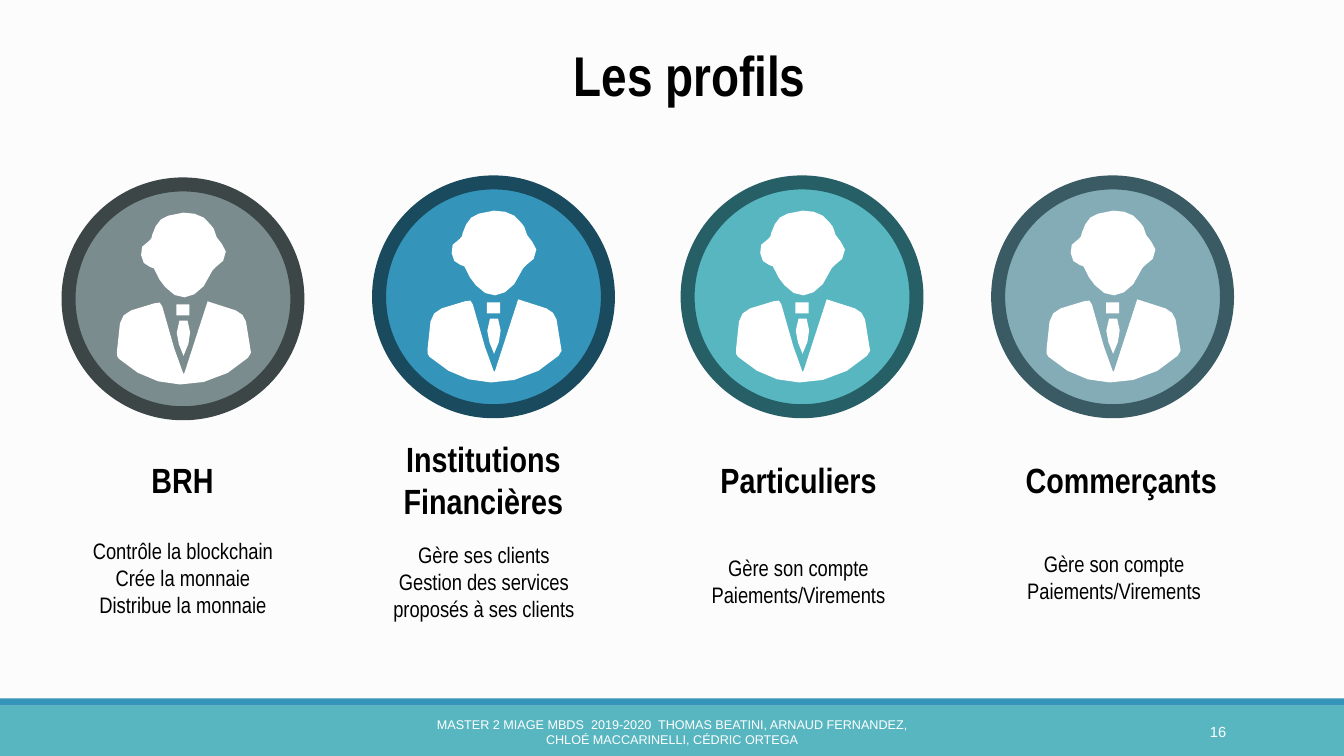
from dataclasses import dataclass
from math import ceil, hypot, sqrt

from pptx import Presentation
from pptx.dml.color import RGBColor
from pptx.enum.shapes import MSO_SHAPE
from pptx.enum.text import MSO_ANCHOR, PP_ALIGN
from pptx.shapes.autoshape import Shape
from pptx.slide import Slide
from pptx.util import Inches, Pt

RECTANGLE, OVAL = MSO_SHAPE.RECTANGLE, MSO_SHAPE.OVAL
TOP, MIDDLE = MSO_ANCHOR.TOP, MSO_ANCHOR.MIDDLE
CENTER, RIGHT = PP_ALIGN.CENTER, PP_ALIGN.RIGHT

PAPER = RGBColor(0xFC, 0xFC, 0xFC)
WHITE = RGBColor(0xFF, 0xFF, 0xFF)
BLACK = RGBColor(0x00, 0x00, 0x00)
GREY = RGBColor(0x7A, 0x8C, 0x8E)
DARK_GREY = RGBColor(0x3D, 0x46, 0x47)
BLUE = RGBColor(0x34, 0x94, 0xBA)
DARK_BLUE = RGBColor(0x1A, 0x4A, 0x5D)
TEAL = RGBColor(0x58, 0xB6, 0xC0)
DARK_TEAL = RGBColor(0x26, 0x60, 0x66)
STEEL = RGBColor(0x84, 0xAC, 0xB6)
DARK_STEEL = RGBColor(0x3A, 0x5B, 0x63)

BODY_FONT, FOOTER_FONT = "Arial Narrow", "Arial"
BADGE_SIZE = 2.27
FLATNESS = 0.01

Point = tuple[float, float]
Box = tuple[float, float, float, float]
Curve = tuple[float, float, float, float, float, float]


@dataclass(frozen=True)
class Outline:
    start: Point
    curves: tuple[Curve, ...]


@dataclass(frozen=True)
class Profile:
    name: str
    tasks: tuple[str, ...]
    fill: RGBColor
    ring: RGBColor
    badge: Point
    name_box: Box
    tasks_box: Box


JACKET = Outline((1.15, 1.87), (
    (1.23, 1.63, 1.31, 1.40, 1.38, 1.16),
    (1.47, 1.19, 1.57, 1.21, 1.66, 1.25),
    (1.71, 1.27, 1.75, 1.31, 1.76, 1.36),
    (1.78, 1.46, 1.80, 1.56, 1.81, 1.67),
    (1.81, 1.69, 1.80, 1.71, 1.78, 1.72),
    (1.65, 1.84, 1.52, 1.92, 1.34, 1.96),
    (1.02, 2.03, 0.74, 1.95, 0.50, 1.73),
    (0.49, 1.72, 0.47, 1.69, 0.48, 1.66),
    (0.48, 1.57, 0.50, 1.48, 0.51, 1.38),
    (0.52, 1.32, 0.56, 1.27, 0.62, 1.25),
    (0.70, 1.22, 0.77, 1.20, 0.85, 1.18),
    (0.91, 1.16, 0.91, 1.17, 0.93, 1.21),
    (0.97, 1.35, 1.01, 1.49, 1.05, 1.63),
    (1.08, 1.69, 1.10, 1.76, 1.14, 1.88),
))
HEAD = Outline((1.14, 0.28), (
    (1.26, 0.28, 1.35, 0.31, 1.41, 0.40),
    (1.42, 0.41, 1.43, 0.43, 1.44, 0.44),
    (1.46, 0.50, 1.47, 0.55, 1.52, 0.59),
    (1.60, 0.64, 1.55, 0.79, 1.46, 0.82),
    (1.45, 0.83, 1.44, 0.84, 1.43, 0.85),
    (1.39, 0.90, 1.37, 0.96, 1.34, 1.01),
    (1.22, 1.15, 1.08, 1.16, 0.96, 1.02),
    (0.92, 0.97, 0.88, 0.92, 0.86, 0.86),
    (0.86, 0.84, 0.84, 0.82, 0.81, 0.82),
    (0.75, 0.81, 0.73, 0.76, 0.72, 0.70),
    (0.71, 0.63, 0.73, 0.60, 0.80, 0.56),
    (0.82, 0.55, 0.83, 0.52, 0.83, 0.50),
    (0.86, 0.41, 0.90, 0.33, 0.99, 0.31),
    (1.04, 0.30, 1.09, 0.29, 1.14, 0.28),
))
TIE = Outline((1.10, 1.35), (
    (1.12, 1.35, 1.15, 1.35, 1.18, 1.35),
    (1.23, 1.47, 1.20, 1.58, 1.14, 1.70),
    (1.09, 1.58, 1.04, 1.48, 1.10, 1.35),
))

ACCOUNT_TASKS = ("Gère son compte", "Paiements/Virements")
PROFILES = (
    Profile("BRH", ("Contrôle la blockchain", "Crée la monnaie", "Distribue la monnaie"),
            GREY, DARK_GREY, (0.68, 1.83), (0.76, 4.5, 2.1, 0.52), (0.68, 5.28, 2.27, 0.91)),
    Profile("Institutions Financières",
            ("Gère ses clients", "Gestion des services proposés à ses clients"),
            BLUE, DARK_BLUE, (3.76, 1.81), (3.66, 4.29, 2.27, 0.94), (3.75, 5.32, 2.1, 0.91)),
    Profile("Particuliers", ACCOUNT_TASKS,
            TEAL, DARK_TEAL, (6.82, 1.81), (6.87, 4.5, 2.1, 0.52), (6.87, 5.45, 2.1, 0.64)),
    Profile("Commerçants", ACCOUNT_TASKS,
            STEEL, DARK_STEEL, (9.9, 1.81), (9.82, 4.5, 2.6, 0.52), (10, 5.41, 2.1, 0.64)),
)


def paint(shape: Shape, fill: RGBColor, ring: RGBColor | None = None) -> None:
    shape.shadow.inherit = False
    shape.fill.solid()
    shape.fill.fore_color.rgb = fill
    if ring is None:
        shape.line.fill.background()
    else:
        shape.line.color.rgb = ring
        shape.line.width = Pt(10)


def add_preset(slide: Slide, kind: MSO_SHAPE, box: Box, fill: RGBColor,
               ring: RGBColor | None = None) -> None:
    paint(slide.shapes.add_shape(kind, *map(Inches, box)), fill, ring)


def add_text(slide: Slide, lines: tuple[str, ...], box: Box, *, size: float,
             font: str = BODY_FONT, color: RGBColor = BLACK, bold: bool = False,
             align: PP_ALIGN = CENTER, anchor: MSO_ANCHOR = TOP) -> None:
    frame = slide.shapes.add_textbox(*map(Inches, box)).text_frame
    frame.word_wrap = True
    frame.vertical_anchor = anchor
    frame.text = "\n".join(lines)
    for paragraph in frame.paragraphs:
        paragraph.alignment = align
        for run in paragraph.runs:
            run.font.name = font
            run.font.size = Pt(size)
            run.font.bold = bold
            run.font.color.rgb = color


def trace(outline: Outline) -> list[Point]:
    points = []
    x0, y0 = outline.start
    for x1, y1, x2, y2, x3, y3 in outline.curves:
        dx, dy = x3 - x0, y3 - y0
        bulge = max(abs(dx * (y - y0) - dy * (x - x0))
                    for x, y in ((x1, y1), (x2, y2))) / hypot(dx, dy)
        steps = max(1, ceil(sqrt(bulge * 0.75 / FLATNESS)))
        for step in range(1, steps + 1):
            t = step / steps
            a, b, c, d = (1 - t) ** 3, 3 * t * (1 - t) ** 2, 3 * t * t * (1 - t), t ** 3
            points.append((a * x0 + b * x1 + c * x2 + d * x3,
                           a * y0 + b * y1 + c * y2 + d * y3))
        x0, y0 = x3, y3
    return points


def add_outline(slide: Slide, outline: Outline, origin: Point) -> None:
    left, top = origin
    start, *rest = [(Inches(left + x), Inches(top + y))
                    for x, y in (outline.start, *trace(outline))]
    builder = slide.shapes.build_freeform(*start)
    builder.add_line_segments(rest, close=True)
    paint(builder.convert_to_shape(), WHITE)


def add_profile(slide: Slide, profile: Profile) -> None:
    left, top = profile.badge
    add_preset(slide, OVAL, (left, top, BADGE_SIZE, BADGE_SIZE), profile.fill, profile.ring)
    for outline in (JACKET, HEAD, TIE):
        add_outline(slide, outline, profile.badge)
    add_preset(slide, RECTANGLE, (left + 1.07, top + 1.19, 0.13, 0.11), WHITE)
    add_text(slide, (profile.name,), profile.name_box, size=25, bold=True)
    add_text(slide, profile.tasks, profile.tasks_box, size=16)


def main() -> None:
    deck = Presentation()
    deck.slide_width, deck.slide_height = Inches(13.33), Inches(7.5)
    slide = deck.slides.add_slide(deck.slide_layouts[6])
    slide.background.fill.solid()
    slide.background.fill.fore_color.rgb = PAPER

    add_preset(slide, RECTANGLE, (0, 7, 13.33, 0.5), TEAL)
    add_preset(slide, RECTANGLE, (0, 6.93, 13.33, 0.07), BLUE)
    add_text(slide, ("MASTER 2 MIAGE MBDS  2019-2020  THOMAS BEATINI, ARNAUD FERNANDEZ, "
                     "CHLOÉ MACCARINELLI, CÉDRIC ORTEGA",), (4.03, 7.06, 5.27, 0.4),
             size=9, font=FOOTER_FONT, color=WHITE, anchor=MIDDLE)
    add_text(slide, ("16",), (10.83, 7.06, 1.43, 0.4), size=10.5, font=FOOTER_FONT,
             color=WHITE, align=RIGHT, anchor=MIDDLE)
    add_text(slide, ("Les profils",), (1.15, 0.35, 11.38, 0.77), size=40, bold=True)
    for profile in PROFILES:
        add_profile(slide, profile)
    deck.save("out.pptx")


if __name__ == "__main__":
    main()
